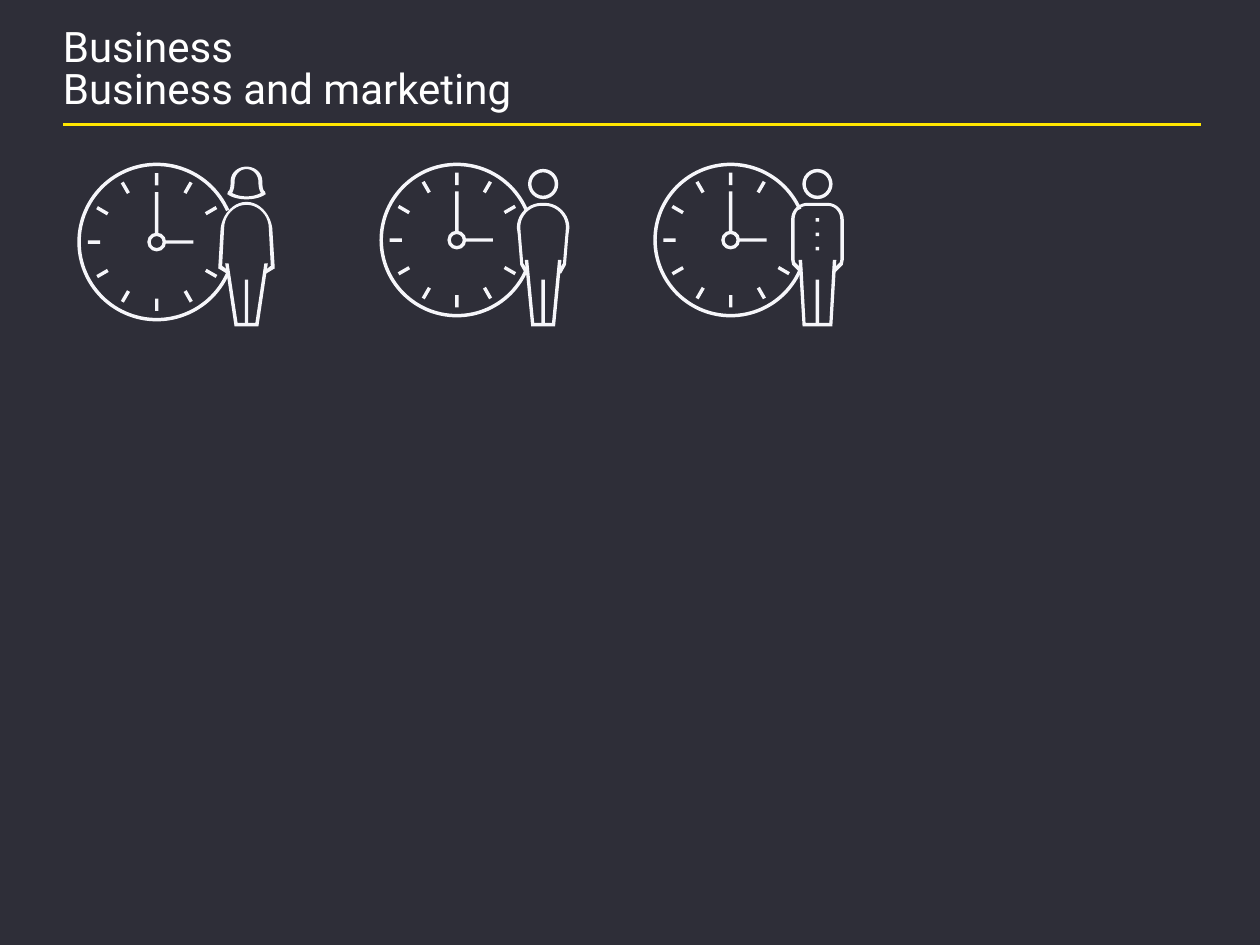
import math
from lxml import etree
from pptx import Presentation
from pptx.dml.color import RGBColor
from pptx.oxml.ns import qn
from pptx.util import Cm, Pt
from pptx.enum import shapes, text

NAVY = RGBColor(0x2E, 0x2E, 0x38)
YELLOW = RGBColor(0xFF, 0xE6, 0x00)
WHITE = RGBColor(0xFF, 0xFF, 0xFF)
PALE = RGBColor(0xF6, 0xF6, 0xFA)

STROKE = 0.07
ICON_TOP = 3.28
GAP_ANGLE = 24

# Half outlines run from the body axis outwards; six numbers are a curve.
HAIR = [(0, 0.08), (0.17, 0.08, 0.32, 0.2, 0.32, 0.38),
        (0.32, 0.43, 0.32, 0.56, 0.37, 0.58), (0.39, 0.64), (0.37, 0.64),
        (0.37, 0.66, 0.22, 0.74, 0, 0.74), (0, 0.68),
        (0.14, 0.68, 0.24, 0.64, 0.29, 0.61),
        (0.24, 0.53, 0.24, 0.41, 0.24, 0.38),
        (0.24, 0.25, 0.14, 0.13, 0, 0.13)]
DRESS = [(0, 0.79), (0.25, 0.79, 0.48, 1.02, 0.52, 1.32), (0.57, 2.13),
         (0.39, 2.24), (0.36, 2.18), (0.49, 2.08), (0.45, 1.32),
         (0.45, 1.07, 0.25, 0.85, 0, 0.85)]
SWEATER = [(0, 0.81), (0.03, 0.81), (0.3, 0.81, 0.53, 1.04, 0.53, 1.31),
           (0.51, 1.46), (0.46, 2.06), (0.36, 2.24), (0.3, 2.18), (0.4, 2.03),
           (0.45, 1.45), (0.46, 1.3), (0.46, 1.07, 0.27, 0.87, 0.03, 0.87),
           (0, 0.87)]
JACKET = [(0, 0.81), (0.2, 0.81), (0.38, 0.81, 0.53, 0.96, 0.53, 1.14),
          (0.53, 1.96), (0.51, 2.06), (0.36, 2.21), (0.3, 2.16), (0.45, 2.01),
          (0.46, 1.96), (0.46, 1.14), (0.46, 0.99, 0.35, 0.87, 0.2, 0.87),
          (0, 0.87)]


def paint(sp):
    sp.shadow.inherit = False
    sp.fill.solid()
    sp.fill.fore_color.rgb = PALE
    sp.line.fill.background()
    return sp


def add_bar(grp, x, y, w, h, angle=0):
    sp = paint(grp.shapes.add_shape(shapes.MSO_SHAPE.RECTANGLE,
                                    Cm(x), Cm(y), Cm(w), Cm(h)))
    sp.rotation = angle


def add_ring(grp, cx, cy, size):
    sp = paint(grp.shapes.add_shape(shapes.MSO_SHAPE.DONUT, Cm(cx - size / 2),
                                    Cm(cy - size / 2), Cm(size), Cm(size)))
    sp.adjustments[0] = STROKE / size


def add_outline(grp, points):
    pts = [(Cm(x), Cm(y)) for x, y in points]
    fb = grp.shapes.build_freeform(*pts[0])
    fb.add_line_segments(pts[1:], close=True)
    paint(fb.convert_to_shape())


def flatten(path, steps=10):
    pts = [path[0]]
    for seg in path[1:]:
        if len(seg) == 2:
            pts.append(seg)
            continue
        ctrl = [pts[-1], seg[:2], seg[2:4], seg[4:]]
        for i in range(1, steps + 1):
            t = i / steps
            weights = [math.comb(3, k) * t ** k * (1 - t) ** (3 - k)
                       for k in range(4)]
            pts.append(tuple(sum(w * c[axis] for w, c in zip(weights, ctrl))
                             for axis in (0, 1)))
    return pts


def add_mirrored(grp, axis, top, half):
    pts = flatten(half)
    add_outline(grp, [(axis + x, top + y) for x, y in pts]
                + [(axis - x, top + y) for x, y in reversed(pts)])


def add_clock(grp, left, top, radius, hidden_hours):
    cx, cy = left + radius, top + radius
    angles = [math.radians(a) for a in range(GAP_ANGLE, 361 - GAP_ANGLE, 3)]
    rim = [(cx + r * math.cos(a), cy + r * math.sin(a))
           for r, order in ((radius, angles), (radius - STROKE, angles[::-1]))
           for a in order]
    add_outline(grp, rim)
    length = 0.25
    for hour in range(12):
        if hour in hidden_hours:
            continue
        a = math.radians(hour * 30)
        add_bar(grp, cx + 0.79 * radius * math.sin(a) - STROKE / 2,
                cy - 0.79 * radius * math.cos(a) - length / 2,
                STROKE, length, hour * 30)
    add_bar(grp, cx + 0.15, cy - STROKE / 2, 0.37 * radius, STROKE)
    add_bar(grp, cx - STROKE / 2, cy - 0.63 * radius, STROKE, 0.54 * radius)
    add_ring(grp, cx, cy, 0.38)


def add_person(grp, axis, top, torso, waist, hip, hem, hair, buttons):
    if hair:
        add_mirrored(grp, axis, top, HAIR)
    else:
        add_ring(grp, axis, top + 0.43, 0.61)
    add_mirrored(grp, axis, top, torso)
    add_mirrored(grp, axis, top, [(0, 3.3), (hem, 3.3), (hip, waist),
                                  (hip - STROKE, waist),
                                  (hem - 0.06, 3.23), (0, 3.23)])
    add_bar(grp, axis - STROKE / 2, top + 2.36, STROKE, 0.89)
    for i in range(buttons):
        add_bar(grp, axis - STROKE / 2, top + 1.12 + 0.29 * i, STROKE, STROKE)


def add_header(s, left, top, width, height):
    tf = s.shapes.add_textbox(Cm(left), Cm(top), Cm(width), Cm(height)).text_frame
    tf.word_wrap = True
    tf.vertical_anchor = text.MSO_ANCHOR.TOP
    tf.margin_left = tf.margin_right = tf.margin_top = tf.margin_bottom = 0
    p = tf.paragraphs[0]
    p.line_spacing = 0.85
    for i, line in enumerate(("Business", "Business and marketing")):
        if i:
            p.add_line_break()
        r = p.add_run()
        r.text = line
        r.font.size = Pt(24)
        r.font.name = "Roboto"
        r.font.color.rgb = WHITE
    p.font.size = Pt(24)
    y = Cm(top + 1.95)
    rule = s.shapes.add_connector(shapes.MSO_CONNECTOR.STRAIGHT,
                                  Cm(left), y, Cm(left + 22.94), y)
    rule.line.color.rgb = YELLOW
    rule.line.width = Pt(1.5)
    etree.SubElement(rule._element.spPr, qn("a:effectLst"))


def main():
    prs = Presentation()
    prs.slide_width, prs.slide_height = Cm(25.4), Cm(19.05)
    s = prs.slides.add_slide(prs.slide_layouts[6])
    s.background.fill.solid()
    s.background.fill.fore_color.rgb = NAVY
    add_header(s, 1.27, 0.56, 22.86, 1.65)
    icons = [
        (1.56, 1.6, {3}, 4.97, (DRESS, 2.03, 0.43, 0.24, True, 0)),
        (7.65, 1.56, {3}, 10.95, (SWEATER, 1.96, 0.37, 0.24, False, 0)),
        (13.17, 1.56, {2, 3}, 16.48, (JACKET, 1.96, 0.38, 0.3, False, 3)),
    ]
    for left, radius, hidden_hours, axis, person in icons:
        grp = s.shapes.add_group_shape()
        add_clock(grp, left, ICON_TOP, radius, hidden_hours)
        add_person(grp, axis, ICON_TOP, *person)
    prs.save("out.pptx")


if __name__ == "__main__":
    main()
